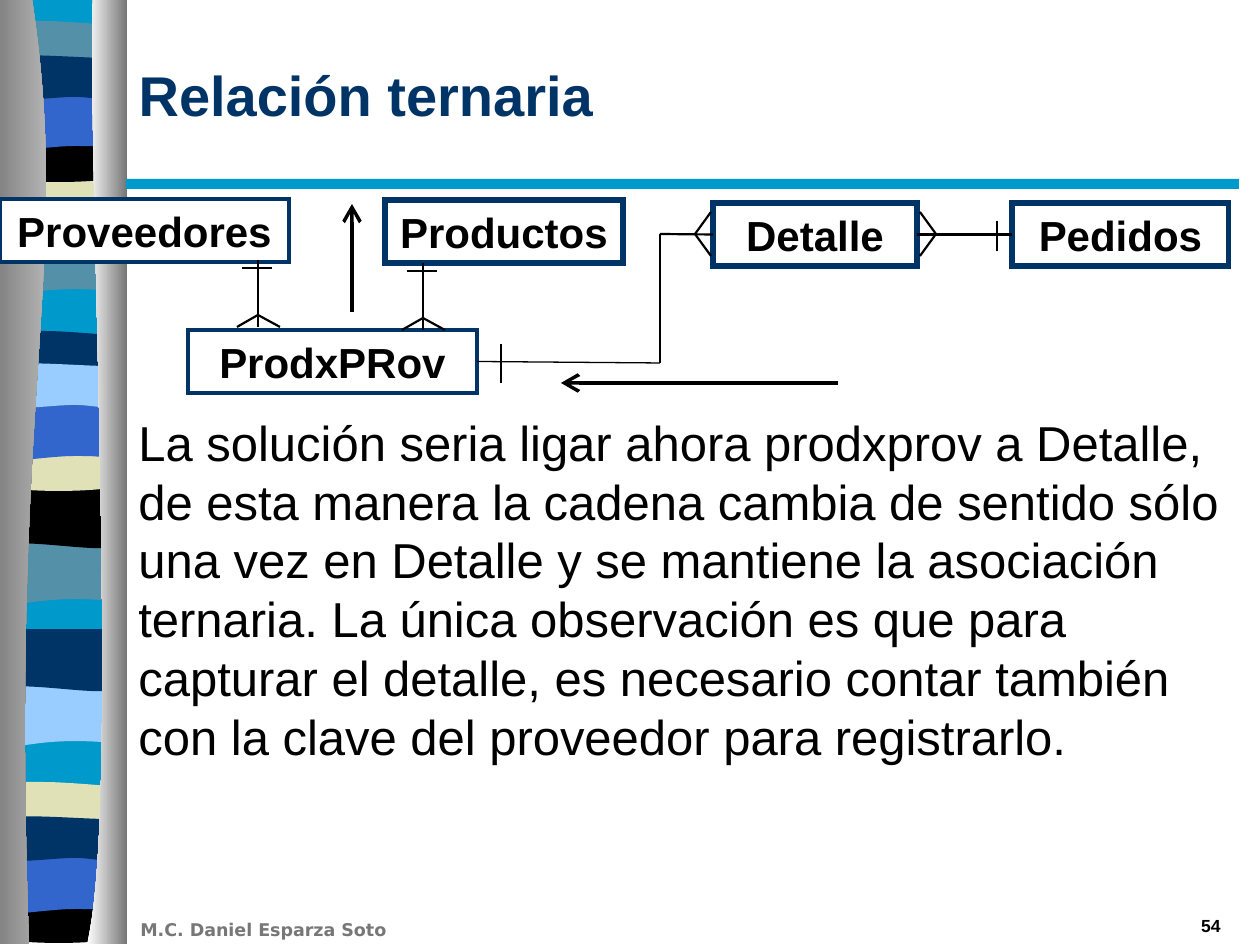
from lxml import etree
from pptx import Presentation
from pptx import util as u
from pptx.dml.color import RGBColor
from pptx.enum import shapes, text
from pptx.oxml.ns import qn

PX = 914400 // 126
COLORS = {"sky": "0099CC", "slate": "5490A8", "cream": "E1E1B7", "black": "000000",
          "blue": "3366CC", "navy": "003366", "pale": "99CCFF", "white": "FFFFFF",
          "gray": "777777", "shade": "767676", "light": "D0D0D0"}
WAVES = [
    [[(123, 0)], [(123, 59)], [(34, 49), (16, 69), (-6, 59)], [(-6, 0)]],
    [[(123, 0)], [(123, 59)], [(102, 69), (34, 52), (-6, 59)], [(-6, 0)]],
    [[(123, 6)], [(123, 36)], [(102, 42), (16, 42), (-6, 36)], [(-6, 6)],
     [(3, 0), (23, 1), (44, 1)], [(66, 1), (107, 5), (123, 6)]],
    [[(123, 0)], [(123, 40)], [(102, 48), (16, 48), (-6, 40)], [(-6, 0)],
     [(74, 6), (97, 0), (123, 0)]],
    [[(123, 0)], [(123, 59)], [(103, 53), (96, 53), (74, 53)],
     [(53, 53), (14, 59), (-6, 59)], [(-6, 0)]],
    [[(123, 6)], [(123, 45)], [(116, 52), (96, 45), (74, 45)],
     [(53, 45), (8, 52), (-6, 45)], [(-6, 6)], [(12, 0), (82, 6), (103, 6)],
     [(125, 6), (119, 6), (123, 6)]]]
CYCLES = [((233, 178, 20, 136, 93, 52),
           ("slate", "cream", "slate", "black", "blue", "navy")),
          ((543, 486, 330, 445, 403, 360),
           ("slate", "black", "navy", "cream", "blue", "pale")),
          ((685, 629, 781, 897, 856, 813),
           ("pale", "navy", "cream", "black", "blue", "navy"))]
PILLARS = [([[(32, -1)], [(73, 272), (9, 373), (29, 944)], [(-11, 944)], [(-13, -1)]],
            ("shade", "light")),
           ([[(93, -1)], [(87, 158), (121, 814), (87, 944)], [(127, 944)], [(127, 0)]],
            ("white", "shade"))]
BODY = ("La solución seria ligar ahora prodxprov a Detalle, de esta manera la cadena "
        "cambia de sentido sólo una vez en Detalle y se mantiene la asociación ternaria. "
        "La única observación es que para capturar el detalle, es necesario contar "
        "también con la clave del proveedor para registrarlo.")


def rgb(name):
    """Return the named colour."""
    return RGBColor.from_string(COLORS[name])


def place(sp, box):
    """Move and size a shape to a box in px."""
    for key, value in zip(("left", "top", "width", "height"), box):
        setattr(sp, key, value * PX)


def write(sp, words, size, color="black", bold=True, font="Arial", wrap=True,
          align=text.PP_ALIGN.LEFT, anchor=text.MSO_ANCHOR.TOP):
    """Put one formatted paragraph into a shape."""
    tf = sp.text_frame
    frame = {"word_wrap": wrap, "vertical_anchor": anchor,
             "auto_size": text.MSO_AUTO_SIZE.NONE}
    for key, value in frame.items():
        setattr(tf, key, value)
    p = tf.paragraphs[0]
    p.alignment = align
    r = p.add_run()
    r.text = words
    for key, value in {"name": font, "size": u.Pt(size), "bold": bold}.items():
        setattr(r.font, key, value)
    r.font.color.rgb = rgb(color)


def label(s, box, words, size, **style):
    """Add a text box."""
    sp = s.shapes.add_textbox(*(v * PX for v in box))
    write(sp, words, size, **style)


def bar(s, box, color):
    """Add a plain filled rectangle."""
    sp = s.shapes.add_shape(shapes.MSO_SHAPE.RECTANGLE, *(v * PX for v in box))
    sp.shadow.inherit = False
    sp.fill.solid()
    sp.fill.fore_color.rgb = rgb(color)
    sp.line.fill.background()


def outline(s, x, y, segments):
    """Add a borderless freeform whose three-point segments are curves."""
    points = [(x + a, y + b) for segment in segments for a, b in segment]
    fb = s.shapes.build_freeform(*points[0], scale=PX)
    fb.add_line_segments(points[1:], close=True)
    sp = fb.convert_to_shape()
    sp.shadow.inherit = False
    sp.line.fill.background()
    steps = iter(list(sp._element.iter(qn("a:lnTo"))))
    for segment in segments[1:]:
        first, *rest = [next(steps) for _ in segment]
        if rest:
            first.tag = qn("a:cubicBezTo")
        for step in rest:
            first.append(step[0])
            step.getparent().remove(step)
    return sp


def ribbon(s, box):
    """Draw the wavy colour bands between two shaded pillars."""
    x, y, w, h = box
    bar(s, (x, y, w - 3, h - 3), "sky")
    for tops, names in CYCLES:
        for wave, top, name in zip(WAVES, tops, names):
            sp = outline(s, x, y + top, wave)
            sp.fill.solid()
            sp.fill.fore_color.rgb = rgb(name)
    for segments, stops in PILLARS:
        sp = outline(s, x, y, segments)
        sp.fill.gradient()
        sp.fill.gradient_angle = 0
        for stop, name in zip(sp.fill.gradient_stops, stops):
            stop.color.rgb = rgb(name)


def entity(s, box, words, weight):
    """Add one entity rectangle with square corners."""
    sp = s.shapes.add_shape(shapes.MSO_SHAPE.RECTANGLE, *(v * PX for v in box))
    sp.shadow.inherit = False
    sp.fill.solid()
    sp.fill.fore_color.rgb = rgb("white")
    sp.line.color.rgb = rgb("navy")
    sp.line.width = u.Pt(weight)
    etree.SubElement(sp.line._get_or_add_ln(), qn("a:miter"), lim="800000")
    write(sp, words, 24, wrap=False, align=text.PP_ALIGN.CENTER,
          anchor=text.MSO_ANCHOR.MIDDLE)
    return sp


def line(s, start, end, weight=1.25, arrow=False):
    """Add a straight black line, with an arrowhead at its end if asked."""
    cx = s.shapes.add_connector(shapes.MSO_CONNECTOR.STRAIGHT,
                                *(v * PX for v in (*start, *end)))
    cx.line.color.rgb = rgb("black")
    cx.line.width = u.Pt(weight)
    if arrow:
        etree.SubElement(cx.line._get_or_add_ln(), qn("a:tailEnd"),
                         type="arrow", w="lg", len="lg")
    etree.SubElement(cx._element.spPr, qn("a:effectLst"))
    return cx


def diagram(s, box):
    """Draw the entities, their relations and the direction arrows."""
    x, y = box[:2]
    boxes = {"Productos": (385, 1, 238, 3), "Proveedores": (0, 0, 289, 2.25),
             "Pedidos": (1012, 4, 217, 3), "Detalle": (713, 4, 204, 3),
             "ProdxPRov": (188, 131, 289, 2.25)}
    nodes = {name: entity(s, (x + left, y + top, width, 63), name, weight)
             for name, (left, top, width, weight) in boxes.items()}

    def draw(a, b, c, d, **style):
        return line(s, (x + a, y + b), (x + c, y + d), **style)

    cx = draw(1012, 35, 917, 35)
    cx.begin_connect(nodes["Pedidos"], 1)
    cx.end_connect(nodes["Detalle"], 3)
    draw(660, 35, 713, 35).end_connect(nodes["Detalle"], 1)
    draw(660, 35, 660, 164)
    draw(660, 164, 477, 162, weight=0.75).end_connect(nodes["ProdxPRov"], 3)
    draw(501, 145, 501, 184, weight=0.75)
    draw(997, 22, 997, 52)
    for apex, side in ((695, 711), (936, 920)):
        for end in (13, 57):
            draw(apex, 35, side, end)
    for middle, top in ((258, 61), (423, 64)):
        draw(middle, top, middle, top + 67)
        draw(middle + 14, top + 8, middle - 16, top + 8)
        for side in (-21, 22):
            draw(middle, top + 55, middle + side, top + 67)
    draw(838, 184, 561, 184, weight=2, arrow=True)
    draw(352, 113, 352, 5, weight=2, arrow=True)


def content(s, box):
    """Place the title, rule, explanation and footer."""
    x, y, w, h = box
    place(s.shapes.title, (x, y + 15, w, 158))
    write(s.shapes.title, "Relación ternaria", 32, color="navy",
          anchor=text.MSO_ANCHOR.MIDDLE)
    bar(s, (x, y + 179, 1113, 10), "sky")
    label(s, (x, y + 406, w, 461), BODY, 28, bold=False)
    label(s, (x + 2, y + h - 32, 357, 34), "M.C. Daniel Esparza Soto", 10,
          color="gray", font="DejaVu Sans")
    label(s, (x + w - 261, y + h - 36, 262, 33), "54", 10,
          align=text.PP_ALIGN.RIGHT)


def main():
    """Build and save the slide."""
    prs = Presentation()
    prs.slide_width, prs.slide_height = u.Inches(10), u.Inches(7.5)
    s = prs.slides.add_slide(prs.slide_layouts[5])
    ribbon(s, (0, 0, 126, 945))
    content(s, (126, 0, 1106, 945))
    diagram(s, (0, 199, 1229, 194))
    prs.save("out.pptx")


if __name__ == "__main__":
    main()
